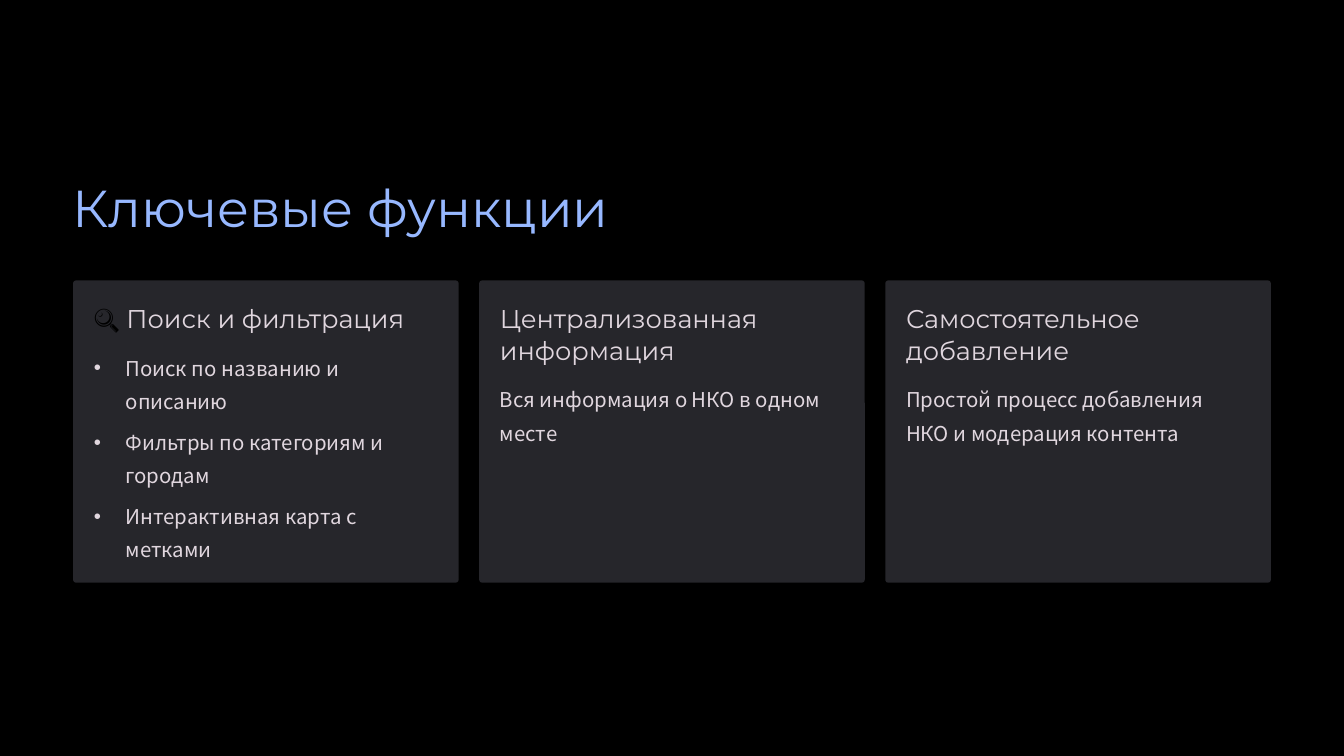
from pptx import Presentation
from pptx.dml.color import RGBColor
from pptx.enum.shapes import MSO_SHAPE
from pptx.oxml.ns import qn
from pptx.util import Cm, Pt
from lxml.etree import SubElement

HUES = {"back": "000000", "title": "97B8FF", "card": "26262B",
        "text": "E0D6DE", "icon": "000000"}
HEAD = {"font": "Montserrat", "size": 22, "line": 27.5}
BODY = {"font": "Noto Sans CJK TC", "size": 17.5, "line": 28.5}

deck = Presentation()
deck.slide_width, deck.slide_height = Cm(40.64), Cm(22.86)
slide = deck.slides.add_slide(deck.slide_layouts[6])
slide.background.fill.solid()
slide.background.fill.fore_color.rgb = RGBColor.from_string(HUES["back"])


def write(text, left, top, width, height, font, size, line,
          hue="text", icon="", bullet=False):
    box = slide.shapes.add_textbox(Cm(left), Cm(top), Cm(width), Cm(height))
    frame = box.text_frame
    frame.word_wrap = True
    frame.margin_left = frame.margin_right = 0
    frame.margin_top = frame.margin_bottom = 0
    para = frame.paragraphs[0]
    para.line_spacing = Pt(line)
    if bullet:
        props = para._p.get_or_add_pPr()
        props.set("marL", str(Cm(0.96)))
        props.set("indent", str(-Cm(0.96)))
        SubElement(props, qn("a:buFont")).set("typeface", "Arial")
        SubElement(props, qn("a:buChar")).set("char", "•")
    for part, shade in ((icon, "icon"), (text, hue)):
        if part:
            run = para.add_run()
            run.text = part
            run.font.name = font
            run.font.size = Pt(size)
            run.font.color.rgb = RGBColor.from_string(HUES[shade])


write("Ключевые функции", 2.2, 5.25, 17.5, 1.98, font="Montserrat",
      size=44.5, line=55.5, hue="title")

cards = [
    (" Поиск и фильтрация", "🔍",
     ["Поиск по названию и описанию",
      "Фильтры по категориям и городам",
      "Интерактивная карта с метками"]),
    ("Централизованная информация", "",
     ["Вся информация о НКО в одном месте"]),
    ("Самостоятельное добавление", "",
     ["Простой процесс добавления НКО и модерация контента"]),
]

for col, (head, icon, items) in enumerate(cards):
    left = 2.21 + col * 12.28
    card = slide.shapes.add_shape(MSO_SHAPE.ROUNDED_RECTANGLE,
                                  Cm(left), Cm(8.48), Cm(11.66), Cm(9.14))
    card.adjustments[0] = 0.01
    card.shadow.inherit = False
    card.fill.solid()
    card.fill.fore_color.rgb = RGBColor.from_string(HUES["card"])
    card.line.fill.background()

    listed = len(items) > 1
    inner = left + 0.63
    write(head, inner, 9.12, 10.4, 1.0 if listed else 1.98,
          icon=icon, **HEAD)
    top = 10.49 if listed else 11.45
    for row, item in enumerate(items):
        write(item, inner, top + row * 2.24, 10.4, 2.0, bullet=listed, **BODY)

deck.save("out.pptx")
